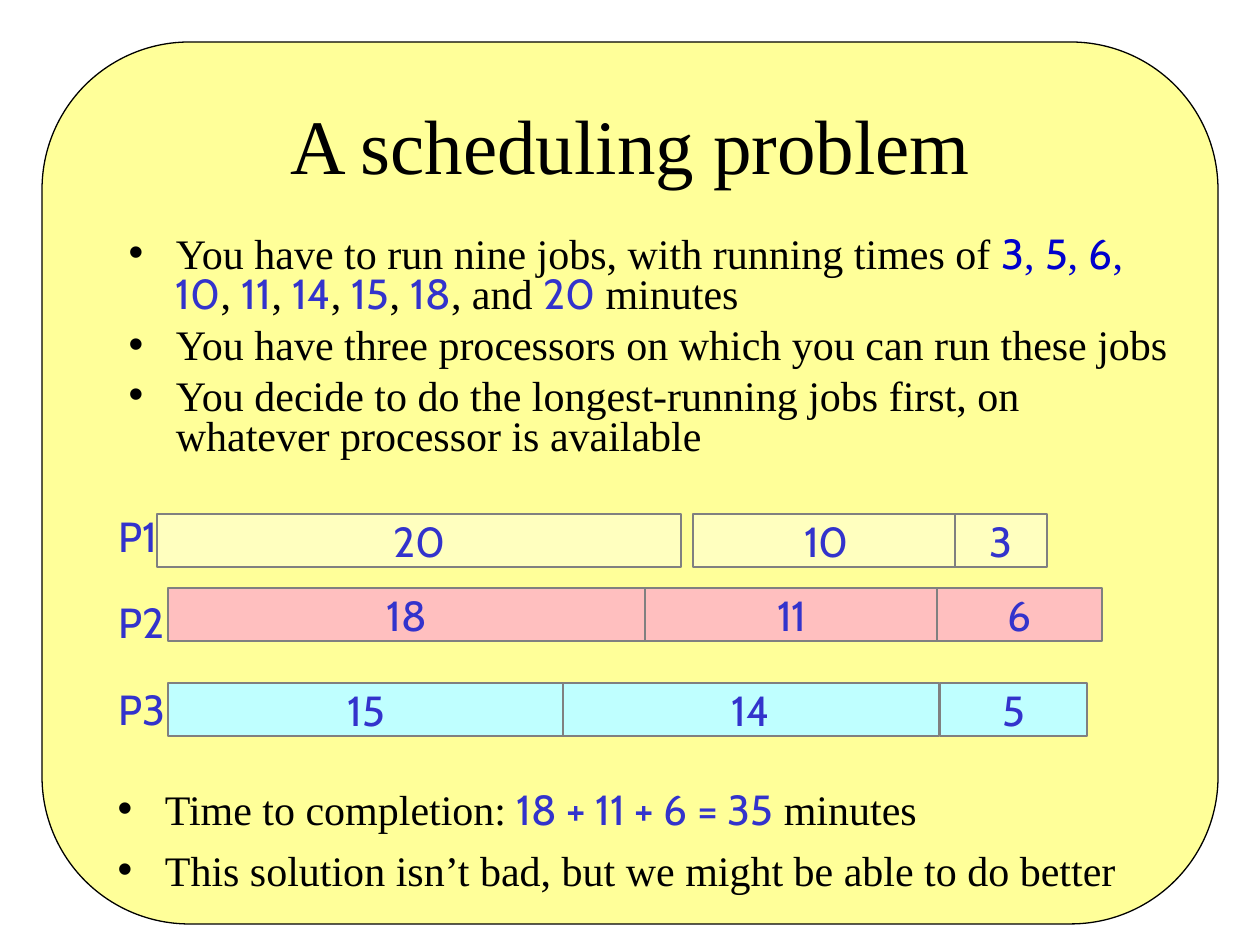
from dataclasses import dataclass
from typing import NamedTuple

from pptx import Presentation
from pptx.dml.color import RGBColor
from pptx.enum.shapes import MSO_SHAPE
from pptx.enum.text import MSO_ANCHOR, MSO_AUTO_SIZE, PP_ALIGN
from pptx.util import Emu, Pt

EMU_PER_PX = 914400 / 126

BLACK = RGBColor(0x00, 0x00, 0x00)
PANEL_YELLOW = RGBColor(0xFF, 0xFF, 0x99)
NUMBER_BLUE = RGBColor(0x33, 0x33, 0xCC)
DEEP_BLUE = RGBColor(0x00, 0x00, 0xCC)
BAR_GRAY = RGBColor(0x80, 0x80, 0x80)
PALE_YELLOW = RGBColor(0xFF, 0xFF, 0xBF)
PALE_RED = RGBColor(0xFF, 0xBF, 0xBF)
PALE_CYAN = RGBColor(0xBF, 0xFF, 0xFF)

SERIF = "Times New Roman"
SANS = "Cabin"
BAR_HEIGHT = 53


class Span(NamedTuple):
    text: str
    font: str = SERIF
    color: RGBColor = BLACK


class Job(NamedTuple):
    minutes: int
    left: int
    width: int


@dataclass(frozen=True)
class Processor:
    name: str
    top: int
    fill: RGBColor
    jobs: tuple[Job, ...]


PROCESSORS = (
    Processor("P1", 514, PALE_YELLOW, (Job(20, 157, 524), Job(10, 693, 267), Job(3, 955, 92))),
    Processor("P2", 588, PALE_RED, (Job(18, 168, 478), Job(11, 645, 294), Job(6, 937, 165))),
    Processor("P3", 683, PALE_CYAN, (Job(15, 168, 396), Job(14, 563, 376), Job(5, 940, 147))),
)


def px(length: int) -> Emu:
    return Emu(round(length * EMU_PER_PX))


def number(text: str, color: RGBColor = NUMBER_BLUE) -> Span:
    return Span(text, SANS, color)


def job_time_spans() -> list[Span]:
    """The sentence that lists all running times, shortest first."""
    spans = [Span("You have to run nine jobs, with running times of ")]
    for minutes in ("3", "5", "6"):
        spans += [number(minutes, DEEP_BLUE), Span(", ", color=DEEP_BLUE)]
    for minutes in ("10", "11", "14", "15"):
        spans += [number(minutes), Span(", ")]
    return spans + [number("18"), Span(", and "), number("20"), Span(" minutes")]


def write_text(text_frame, paragraphs, *, size=24, align=PP_ALIGN.LEFT,
               anchor=MSO_ANCHOR.TOP, line_spacing=1.0, space_before=0, wrap=True) -> None:
    """Fill a text frame with paragraphs, each a list of spans."""
    text_frame.auto_size = MSO_AUTO_SIZE.NONE
    text_frame.word_wrap = wrap
    text_frame.vertical_anchor = anchor
    for index, spans in enumerate(paragraphs):
        paragraph = text_frame.paragraphs[0] if index == 0 else text_frame.add_paragraph()
        paragraph.alignment = align
        paragraph.line_spacing = line_spacing
        paragraph.space_before = Pt(space_before)
        for span in spans:
            run = paragraph.add_run()
            run.text = span.text
            run.font.size = Pt(size)
            run.font.name = span.font
            run.font.color.rgb = span.color


def place(shape, left: int, top: int, width: int, height: int) -> None:
    shape.left, shape.top = px(left), px(top)
    shape.width, shape.height = px(width), px(height)


def add_box(slide, kind, left: int, top: int, width: int, height: int,
            fill: RGBColor, line: RGBColor, line_width: float):
    shape = slide.shapes.add_shape(kind, px(left), px(top), px(width), px(height))
    shape.shadow.inherit = False
    shape.fill.solid()
    shape.fill.fore_color.rgb = fill
    shape.line.color.rgb = line
    shape.line.width = Pt(line_width)
    return shape


def add_processor(slide, processor: Processor) -> None:
    for job in processor.jobs:
        bar = add_box(slide, MSO_SHAPE.RECTANGLE, job.left, processor.top,
                      job.width, BAR_HEIGHT, processor.fill, BAR_GRAY, 1)
        write_text(bar.text_frame, [[number(str(job.minutes))]],
                   align=PP_ALIGN.CENTER, anchor=MSO_ANCHOR.MIDDLE, wrap=False)


def main() -> None:
    presentation = Presentation()
    presentation.slide_width, presentation.slide_height = px(1260), px(945)
    slide = presentation.slides.add_slide(presentation.slide_layouts.get_by_name("Two Content"))
    title, problem, result = slide.placeholders

    panel = add_box(slide, MSO_SHAPE.ROUNDED_RECTANGLE, 42, 42, 1176, 882,
                    PANEL_YELLOW, BLACK, 0.75)
    panel.adjustments[0] = 0.167
    title.element.addprevious(panel.element)  # behind all text

    place(title, 95, 98, 1071, 91)
    write_text(title.text_frame, [[Span("A scheduling problem")]], size=44,
               align=PP_ALIGN.CENTER, anchor=MSO_ANCHOR.MIDDLE)

    place(problem, 116, 231, 1071, 252)
    write_text(problem.text_frame, [
        job_time_spans(),
        [Span("You have three processors on which you can run these jobs")],
        [Span("You decide to do the longest-running jobs first, "
              "on whatever processor is available")],
    ], line_spacing=0.8, space_before=6)

    for processor in PROCESSORS:
        add_processor(slide, processor)

    labels = slide.shapes.add_textbox(px(106), px(494), px(83), px(246))
    write_text(labels.text_frame, [[number(processor.name)] for processor in PROCESSORS],
               line_spacing=1.2, space_before=15)

    place(result, 105, 777, 1061, 147)
    write_text(result.text_frame, [
        [Span("Time to completion: "), number("18 + 11 + 6 = 35"), Span(" minutes")],
        [Span("This solution isn’t bad, but we might be able to do better")],
    ], space_before=6)

    presentation.save("out.pptx")


if __name__ == "__main__":
    main()
